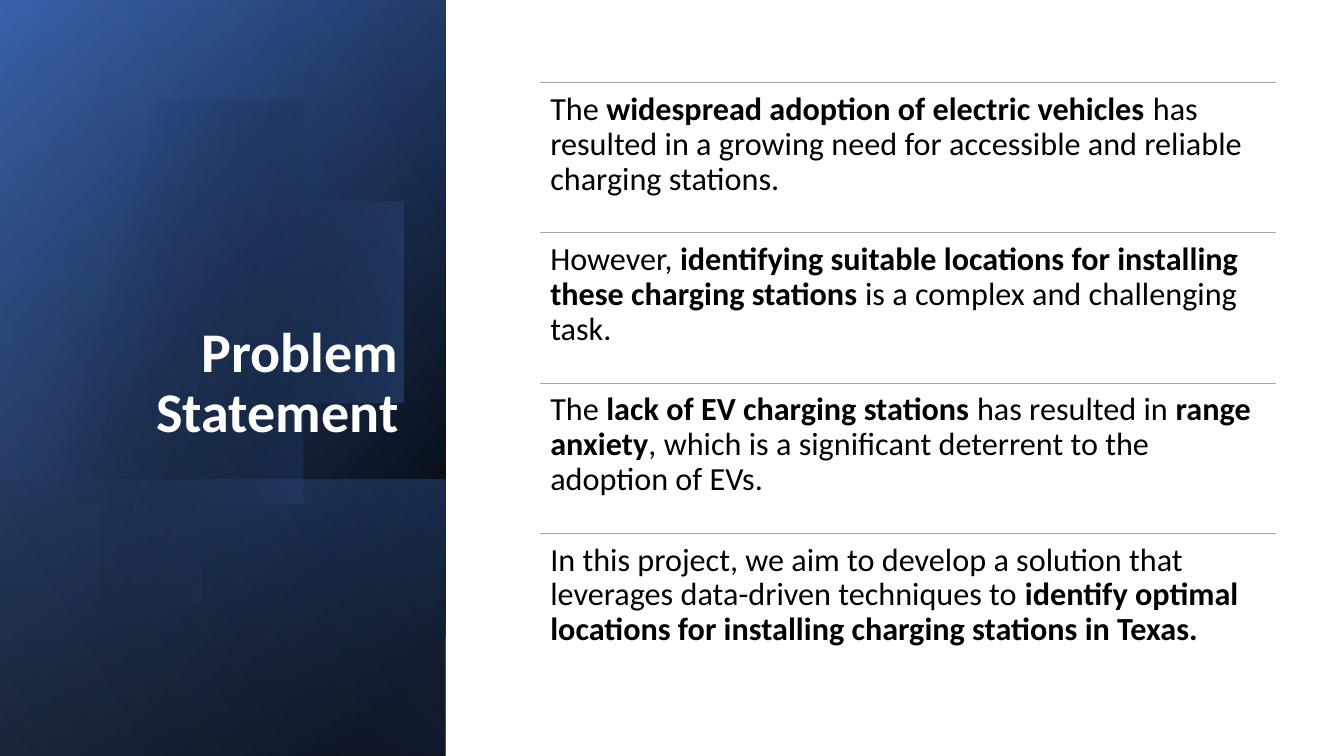
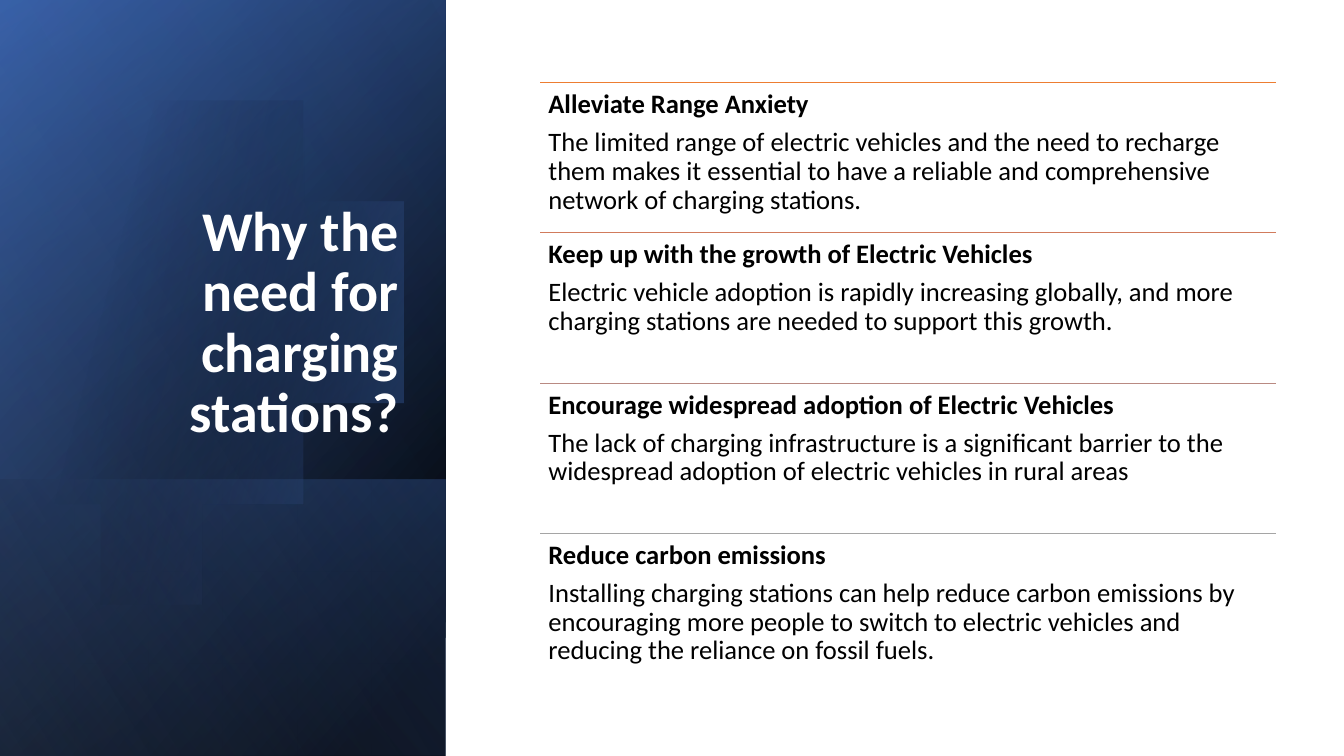
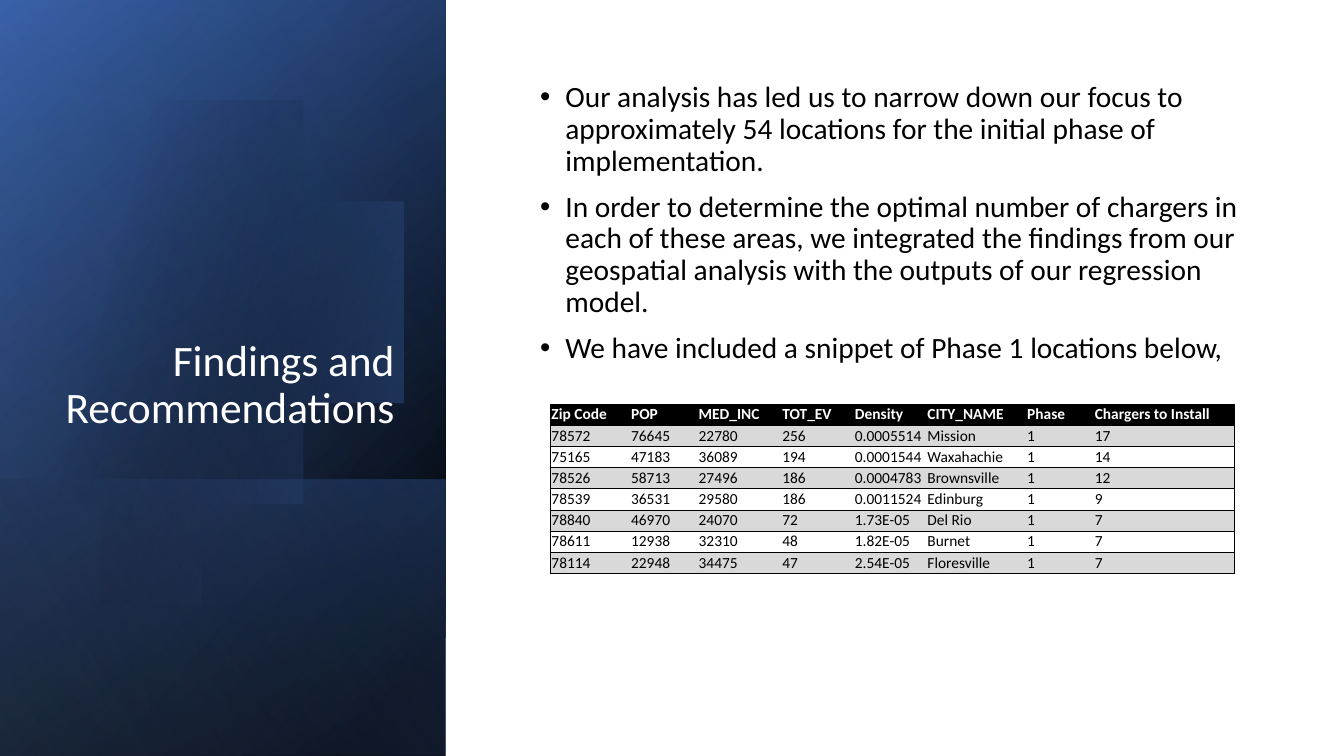
from math import acos, cos, degrees, radians, sin

from lxml.etree import SubElement
from pptx import Presentation
from pptx.dml.color import RGBColor
from pptx.enum.shapes import MSO_CONNECTOR, MSO_SHAPE
from pptx.enum.text import MSO_ANCHOR, PP_ALIGN
from pptx.oxml.ns import qn
from pptx.util import Inches, Pt

# Shared look
FONT = "Calibri"
BLACK = RGBColor(0x00, 0x00, 0x00)
WHITE = RGBColor(0xFF, 0xFF, 0xFF)
NAVY = RGBColor(0x2F, 0x55, 0x97)
BLUE = RGBColor(0x44, 0x72, 0xC4)
PALE_BLUE = RGBColor(0x8F, 0xAA, 0xDC)
GRAY = RGBColor(0xA5, 0xA5, 0xA5)
BAND_GRAY = RGBColor(0xD9, 0xD9, 0xD9)
ORANGE = RGBColor(0xED, 0x7D, 0x31)
CLAY = RGBColor(0xD1, 0x7B, 0x5C)
MAUVE = RGBColor(0xB9, 0x8A, 0x82)
LINE_SPACING = 0.9
NO_TABLE_STYLE = "{2D5ABB26-0587-4C30-8999-92F81FD0307C}"

# Grid, in inches
SLIDE_W, SLIDE_H = 13.33, 7.5
PANEL_W = 4.42
SHADE_H = 2.74
BODY_X, BODY_Y, BODY_W = 5.36, 0.82, 7.3
ROW_H = 1.49

# Content
PROBLEM_ROWS = [
    ["The **widespread adoption of electric vehicles **has resulted in a growing "
     "need for accessible and reliable charging stations."],
    ["However, **identifying suitable locations for installing these charging "
     "stations** is a complex and challenging task."],
    ["The **lack of EV charging stations **has resulted in **range anxiety**, "
     "which is a significant deterrent to the adoption of EVs."],
    ["In this project, we aim to develop a solution that leverages data-driven "
     "techniques to **identify optimal locations for installing charging "
     "stations in Texas.**"],
]
REASON_ROWS = [
    ["**Alleviate Range Anxiety**",
     "The limited range of electric vehicles and the need to recharge them makes "
     "it essential to have a reliable and comprehensive network of charging "
     "stations."],
    ["**Keep up with the growth of Electric Vehicles**",
     "Electric vehicle adoption is rapidly increasing globally, and more charging "
     "stations are needed to support this growth."],
    ["**Encourage widespread adoption of Electric Vehicles**",
     "The lack of charging infrastructure is a significant barrier to the "
     "widespread adoption of electric vehicles in rural areas"],
    ["**Reduce carbon emissions**",
     "Installing charging stations can help reduce carbon emissions by "
     "encouraging more people to switch to electric vehicles and reducing the "
     "reliance on fossil fuels."],
]
FINDINGS = [
    "Our analysis has led us to narrow down our focus to approximately 54 "
    "locations for the initial phase of implementation.",
    "In order to determine the optimal number of chargers in each of these areas, "
    "we integrated the findings from our geospatial analysis with the outputs of "
    "our regression model.",
    "We have included a snippet of Phase 1 locations below,",
]
LOCATION_COLS = [0.79, 0.67, 0.83, 0.72, 0.72, 0.99, 0.67, 1.39]
LOCATIONS = [
    ["Zip Code", "POP", "MED_INC", "TOT_EV", "Density", "CITY_NAME", "Phase",
     "Chargers to Install"],
    ["78572", "76645", "22780", "256", "0.0005514", "Mission", "1", "17"],
    ["75165", "47183", "36089", "194", "0.0001544", "Waxahachie", "1", "14"],
    ["78526", "58713", "27496", "186", "0.0004783", "Brownsville", "1", "12"],
    ["78539", "36531", "29580", "186", "0.0011524", "Edinburg", "1", "9"],
    ["78840", "46970", "24070", "72", "1.73E-05", "Del Rio", "1", "7"],
    ["78611", "12938", "32310", "48", "1.82E-05", "Burnet", "1", "7"],
    ["78114", "22948", "34475", "47", "2.54E-05", "Floresville", "1", "7"],
]


def style_run(r, size, color=BLACK, bold=False):
    r.font.name, r.font.size = FONT, Pt(size)
    r.font.bold, r.font.color.rgb = bold, color


def paint_gradient(sp, angle, *stops):
    """Each stop is (position %, colour, opacity %); angle runs clockwise."""
    sp.shadow.inherit = False
    sp.line.fill.background()
    sp.fill.gradient()
    sp.fill.gradient_angle = 360 - angle
    for stop, (position, color, _) in zip(sp.fill.gradient_stops, stops):
        stop.position, stop.color.rgb = position / 100, color
    colors = sp._element.spPr.iter(qn("a:srgbClr"))
    for clr, (_, _, opacity) in zip(list(colors), stops):
        SubElement(clr, qn("a:alpha")).set("val", str(opacity * 1000))


def add_turned_rect(s, top, height, angle, *stops):
    """Panel-wide rectangle, mirrored and turned a quarter with its gradient."""
    left, turned_top = (PANEL_W - height) / 2, top + (height - PANEL_W) / 2
    sp = s.shapes.add_shape(MSO_SHAPE.RECTANGLE, Inches(left), Inches(turned_top),
                            Inches(height), Inches(PANEL_W))
    sp.rotation = 90
    sp._element.spPr.xfrm.set("flipH", "1")
    paint_gradient(sp, angle, *stops)


def add_disc(s):
    """Circle cut by a vertical edge just past the slide's left side."""
    cx, cy, radius, cut_x = 1.43, 3.38, 2.28, -0.15
    end, steps = degrees(acos((cut_x - cx) / radius)), 90
    angles = [radians(-end + 2 * end * i / steps) for i in range(steps + 1)]
    points = [(cx + radius * cos(a), cy + radius * sin(a)) for a in angles]
    builder = s.shapes.build_freeform(*points[0], scale=Inches(1))
    builder.add_line_segments(points[1:], close=True)
    paint_gradient(builder.convert_to_shape(), 14, (29, BLACK, 0), (100, BLUE, 43))


def add_panel(s):
    add_turned_rect(s, 0, SLIDE_H, 50, (8, BLACK, 100), (100, NAVY, 100))
    add_turned_rect(s, 0, SLIDE_H, 30, (0, BLACK, 0), (99, BLUE, 46))
    add_turned_rect(s, SLIDE_H - SHADE_H, SHADE_H, 130, (2, BLUE, 29), (100, BLACK, 30))
    add_disc(s)
    add_turned_rect(s, 0, SLIDE_H, 120, (0, BLACK, 0), (99, PALE_BLUE, 11))


def add_text(s, box, paragraphs, size, color=BLACK, inset=None, after=0, before=0,
             align=PP_ALIGN.LEFT, anchor=MSO_ANCHOR.TOP, bullets=False):
    """Text box; **marks** enclose bold wording."""
    tf = s.shapes.add_textbox(*map(Inches, box)).text_frame
    tf.word_wrap, tf.vertical_anchor = True, anchor
    if inset is not None:
        tf.margin_left = tf.margin_right = Inches(inset)
        tf.margin_top = tf.margin_bottom = Inches(inset)
    for i, text in enumerate(paragraphs):
        p = tf.add_paragraph() if i else tf.paragraphs[0]
        p.alignment, p.line_spacing = align, LINE_SPACING
        p.space_before, p.space_after = Pt(before if i else 0), Pt(after)
        if bullets:
            pPr = p._p.get_or_add_pPr()
            pPr.set("marL", str(Inches(0.25)))
            pPr.set("indent", str(-Inches(0.25)))
            SubElement(pPr, qn("a:buFont")).set("typeface", "Arial")
            SubElement(pPr, qn("a:buChar")).set("char", "•")
        for j, part in enumerate(text.split("**")):
            if part:
                r = p.add_run()
                r.text = part
                style_run(r, size, color, bold=j % 2 == 1)


def add_title(s, text, size=40, box=(0.64, 1.84, 3.41, 2.62)):
    add_text(s, box, [text], size, WHITE, align=PP_ALIGN.RIGHT,
             anchor=MSO_ANCHOR.BOTTOM)


def add_rule(s, y, color):
    line = s.shapes.add_connector(MSO_CONNECTOR.STRAIGHT, Inches(BODY_X), Inches(y),
                                  Inches(BODY_X + BODY_W), Inches(y))
    line.line.color.rgb, line.line.width = color, Pt(0.5)
    SubElement(line._element.spPr, qn("a:effectLst"))


def add_ruled_rows(s, rows, colors, size, inset):
    for i, (paragraphs, color) in enumerate(zip(rows, colors)):
        y = BODY_Y + i * ROW_H
        add_rule(s, y, color)
        add_text(s, (BODY_X, y, BODY_W, ROW_H), paragraphs, size, inset=inset,
                 after=round(0.35 * size, 2))


def add_cell_border(cell, side):
    ln = SubElement(cell._tc.get_or_add_tcPr(), qn(f"a:ln{side}"), w=str(Pt(0.5)))
    fill = SubElement(ln, qn("a:solidFill"))
    SubElement(fill, qn("a:srgbClr")).set("val", str(BLACK))


def add_locations_table(s, left, top, row_h):
    n_rows, n_cols = len(LOCATIONS), len(LOCATION_COLS)
    frame = s.shapes.add_table(n_rows, n_cols, Inches(left), Inches(top),
                               Inches(sum(LOCATION_COLS)), Inches(row_h * n_rows))
    table = frame.table
    table.first_row = table.horz_banding = False
    next(frame._element.iter(qn("a:tableStyleId"))).text = NO_TABLE_STYLE
    for col, width in zip(table.columns, LOCATION_COLS):
        col.width = Inches(width)
    for i, values in enumerate(LOCATIONS):
        table.rows[i].height = Inches(row_h)
        header = i == 0
        fill = BLACK if header else BAND_GRAY if i % 2 else WHITE
        for j, value in enumerate(values):
            cell = table.cell(i, j)
            cell.margin_left = cell.margin_right = cell.margin_top = Inches(0.01)
            cell.margin_bottom = 0
            # Outer frame plus a rule between rows
            sides = ("L" if j == 0 else "") + ("R" if j == n_cols - 1 else "") + "TB"
            for side in sides:
                add_cell_border(cell, side)
            cell.fill.solid()
            cell.fill.fore_color.rgb = fill
            cell.text_frame.text = value
            style_run(cell.text_frame.paragraphs[0].runs[0], 11,
                      WHITE if header else BLACK, bold=header)


def add_slide(prs):
    s = prs.slides.add_slide(prs.slide_layouts[6])
    add_panel(s)
    return s


def main():
    prs = Presentation()
    prs.slide_width, prs.slide_height = Inches(SLIDE_W), Inches(SLIDE_H)

    # Problem statement
    s = add_slide(prs)
    add_title(s, "**Problem Statement**")
    add_ruled_rows(s, PROBLEM_ROWS, [GRAY] * 4, 23, 0.1)

    # Reasons
    s = add_slide(prs)
    add_title(s, "**Why the need for charging stations?**")
    add_ruled_rows(s, REASON_ROWS, [ORANGE, CLAY, MAUVE, GRAY], 19, 0.08)

    # Findings
    s = add_slide(prs)
    add_title(s, "Findings and Recommendations", 31, (0.51, 0.64, 3.5, 3.7))
    add_text(s, (5.26, 0.77, 7.17, 3), FINDINGS, 21, before=10, bullets=True)
    add_locations_table(s, 5.46, 4.01, 0.21)

    prs.save("out.pptx")


if __name__ == "__main__":
    main()
